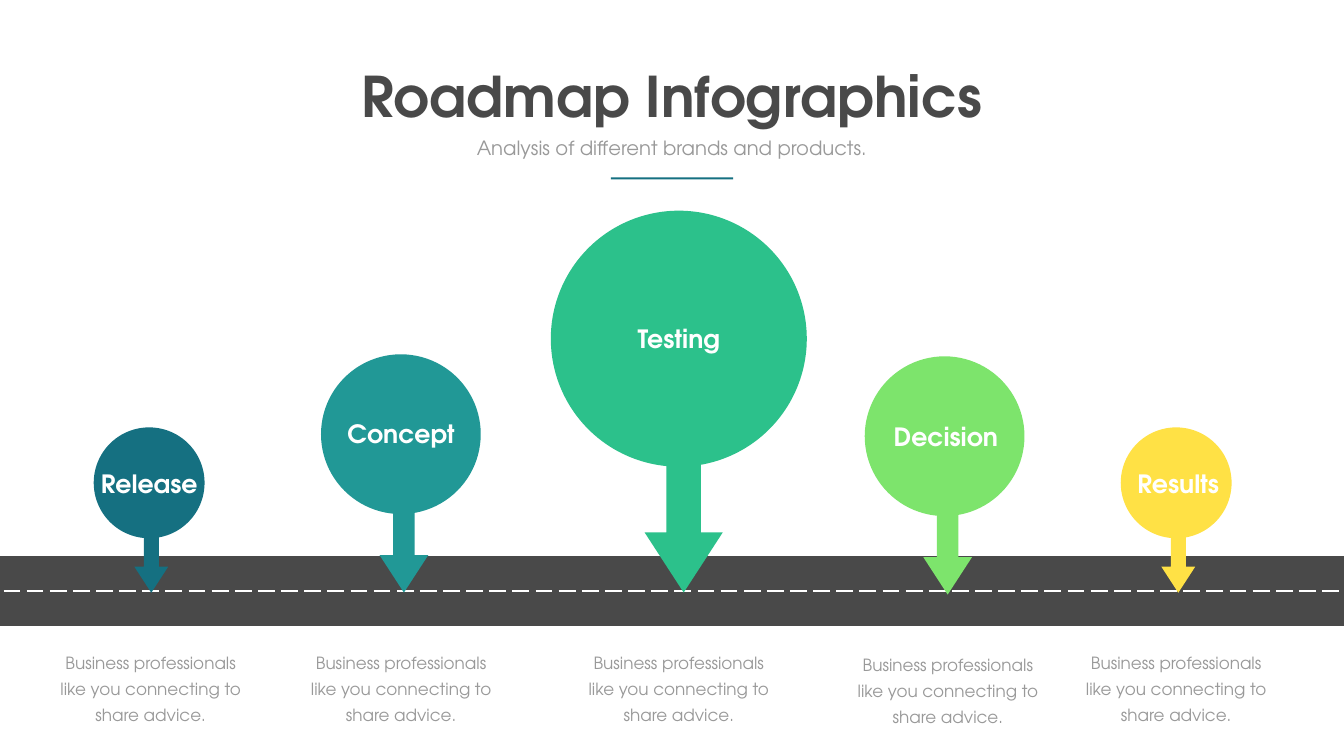
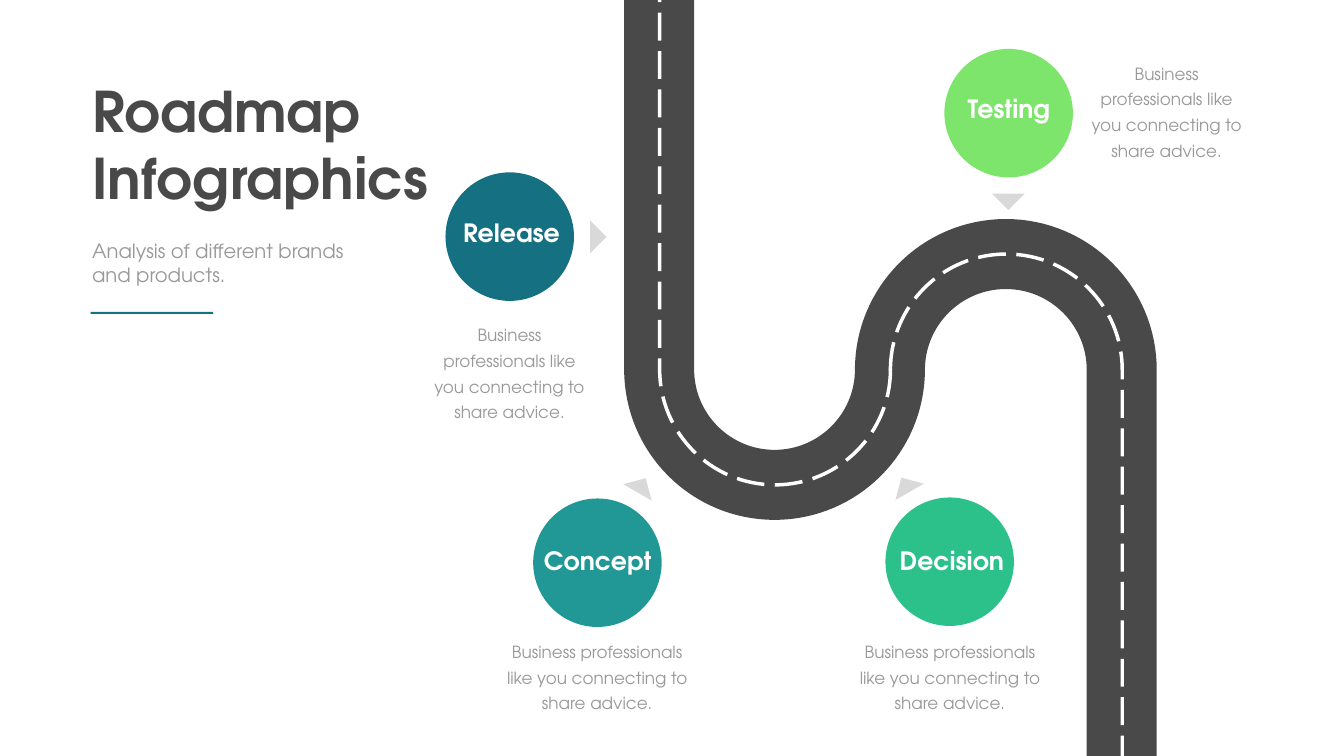
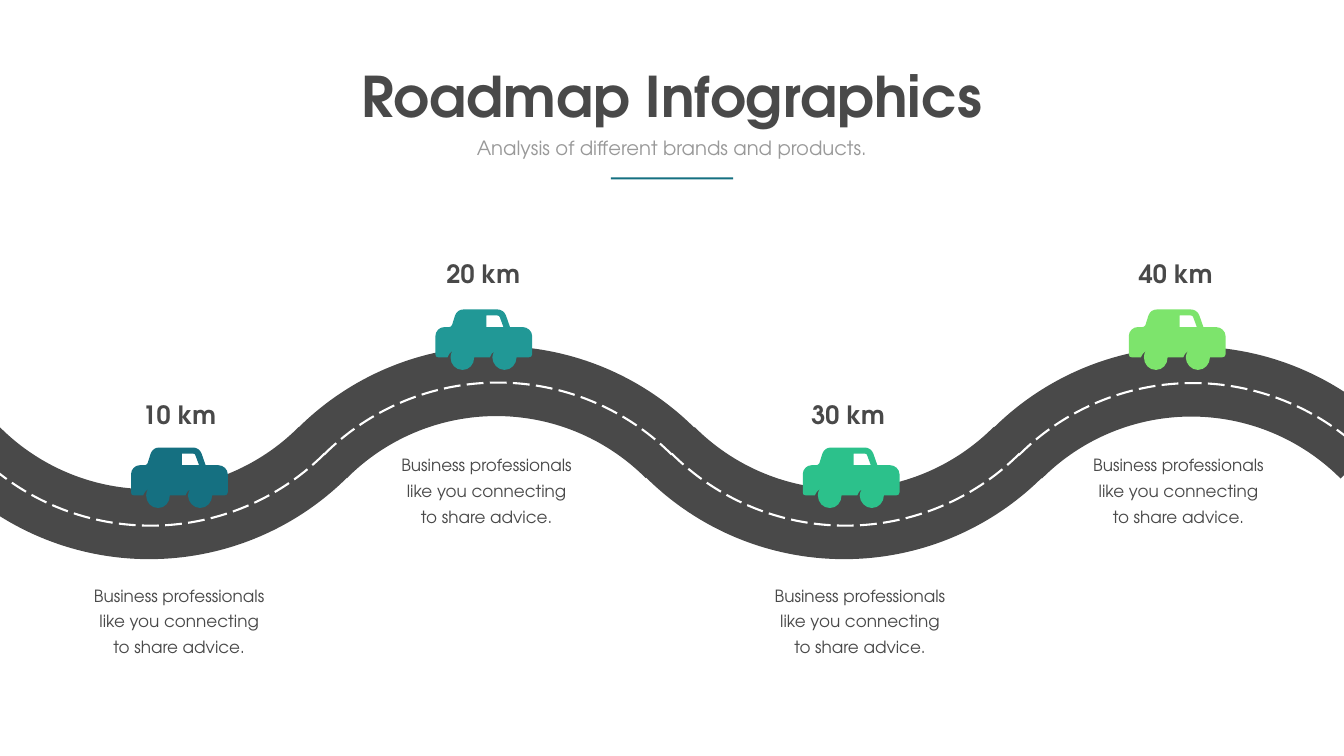
import pptx
import pptx.dml.color
import pptx.enum.dml
import pptx.enum.shapes
import pptx.enum.text
import pptx.oxml.ns
import pptx.util
from lxml import etree
from pptx.oxml.ns import qn
from pptx.util import Inches

SHAPE = pptx.enum.shapes.MSO_SHAPE
ALIGN = pptx.enum.text.PP_ALIGN

# Shared style
FONT = "TeX Gyre Adventor"
DARK, GRAY, PALE, WHITE = "494949", "999999", "D9D9D9", "FFFFFF"
BLUE, TEAL, GREEN, LIME, YELLOW = "157081", "219896", "2CC18B", "7DE46C", "FFE145"
ADVICE = "Business professionals like you connecting to share advice."
SUBTITLE = "Analysis of different brands and products."
ROAD_WIDTH = 100

# Car contours: a pair is a line end, six numbers are a Bezier curve
CAR_BODY = [
    (1.73, .35), (1.48, .35), (1.4, .12), (1.37, .04, 1.3, 0, 1.23, 0),
    (.56, 0), (.48, 0, .42, .04, .39, .12), (.33, .31),
    (.32, .34, .29, .35, .27, .35), (.18, .35), (.08, .35, 0, .43, 0, .53),
    (0, .89), (0, .93, .02, .95, .06, .95), (.24, .95),
    (.26, .9, .29, .85, .34, .82), (.31, .86, .3, .9, .3, .95),
    (.3, 1.09, .4, 1.2, .54, 1.2), (.67, 1.2, .77, 1.09, .77, .95),
    (1.08, .95), (1.1, .9, 1.13, .85, 1.18, .82),
    (1.15, .86, 1.13, .9, 1.13, .95), (1.13, 1.08, 1.24, 1.2, 1.37, 1.2),
    (1.51, 1.2, 1.61, 1.08, 1.61, .95), (1.85, .95),
    (1.89, .95, 1.92, .93, 1.92, .89), (1.92, .53),
    (1.92, .43, 1.83, .35, 1.73, .35),
]
CAR_WINDOW = [(1.01, .35), (1.01, .12), (1.23, .12),
              (1.25, .12, 1.28, .13, 1.28, .16), (1.35, .35), (1.01, .35)]


def color(hex_string):
    return pptx.dml.color.RGBColor.from_string(hex_string)


def set_line(sp, line_color, width, dashed=False):
    sp.line.color.rgb = color(line_color)
    sp.line.width = pptx.util.Pt(width)
    if dashed:
        sp.line.dash_style = pptx.enum.dml.MSO_LINE.LONG_DASH


def set_fill(sp, fill):
    sp.shadow.inherit = False
    sp.fill.solid()
    sp.fill.fore_color.rgb = color(fill)
    sp.line.fill.background()


def add_shape(s, kind, x, y, w, h, fill, rotation=0):
    sp = s.shapes.add_shape(kind, Inches(x), Inches(y), Inches(w), Inches(h))
    set_fill(sp, fill)
    sp.rotation = rotation
    return sp


def add_text(s, lines, x, y, w, h, size, font_color, bold=False,
             align=ALIGN.CENTER, spacing=None, wrap=True):
    tf = s.shapes.add_textbox(Inches(x), Inches(y), Inches(w), Inches(h)).text_frame
    tf.word_wrap = wrap
    tf.auto_size = pptx.enum.text.MSO_AUTO_SIZE.SHAPE_TO_FIT_TEXT
    for i, line in enumerate(lines):
        p = tf.add_paragraph() if i else tf.paragraphs[0]
        p.text = line
        p.alignment = align
        if spacing:
            p.line_spacing = pptx.util.Pt(spacing)
        p.font.name = FONT
        p.font.size = pptx.util.Pt(size)
        p.font.bold = bold
        p.font.color.rgb = color(font_color)


def add_label(s, text, x, y, font_color=WHITE):
    add_text(s, [text], x, y, 2.86, 0.71, 36, font_color, bold=True)


def add_advice(s, x, y, w, h=1.6, font_color=GRAY):
    add_text(s, [ADVICE], x, y, w, h, 24, font_color, spacing=36.6)


def add_centered_title(s):
    add_text(s, ["Roadmap Infographics"], 7, 1.17, 12.66, 1.45, 80, DARK,
             bold=True, wrap=False)
    add_text(s, [SUBTITLE], 8.55, 2.65, 9.56, 0.57, 28, GRAY)
    add_shape(s, SHAPE.RECTANGLE, 12.12, 3.52, 2.43, 0.04, BLUE)


def add_straight_road(s, x, y, length, line_color, width, dashed):
    cn = s.shapes.add_connector(pptx.enum.shapes.MSO_CONNECTOR.STRAIGHT,
                                Inches(x), Inches(y), Inches(x + length), Inches(y))
    etree.SubElement(cn._element.spPr, qn("a:effectLst"))
    set_line(cn, line_color, width, dashed)


def add_pin(s, x, y, d, fill):
    """Circle with an arrow below it, sized and placed from the diameter."""
    w, h = 1.297 * d, 0.305 * d
    center_x, center_y = x + 0.519 * d, y + 0.843 * d
    sp = add_shape(s, SHAPE.RIGHT_ARROW, center_x - w / 2, center_y - h / 2,
                   w, h, fill, 90)
    sp.adjustments[0], sp.adjustments[1] = 0.442, 0.769
    add_shape(s, SHAPE.OVAL, x, y, d, d, fill)


def add_outline(s, contours, closed):
    """Freeform of lines (pairs) and Bezier curves (six numbers), in inches."""
    contours = [[[Inches(v) for v in seg] for seg in c] for c in contours]
    fb = s.shapes.build_freeform(*contours[0][0])
    for i, contour in enumerate(contours):
        if i:
            fb.move_to(*contour[0])
        fb.add_line_segments([seg[-2:] for seg in contour[1:]], close=closed)
    sp = fb.convert_to_shape()
    sp.shadow.inherit = False
    # Turn the sides that have control points into curves
    segments = [seg for contour in contours for seg in contour[1:]]
    sides = list(sp._element.iter(qn("a:lnTo")))
    for side, seg in zip(sides, segments):
        if len(seg) == 6:
            curve = etree.Element(qn("a:cubicBezTo"))
            for x, y in zip(seg[::2], seg[1::2]):
                etree.SubElement(curve, qn("a:pt"), x=str(x - sp.left), y=str(y - sp.top))
            side.getparent().replace(side, curve)
    return sp


def add_bend(s, cx, cy, r, side, end_y, shift, line_color, width, dashed):
    """Half circle of two curves, then a straight run to end_y.

    side 1 starts on the right and dips down, -1 starts on the left and rises.
    """
    cx += shift
    a, k = side * r, side * r * 0.5523
    bend = [(cx + a, cy),
            (cx + a, cy + k, cx + k, cy + a, cx, cy + a),
            (cx - k, cy + a, cx - a, cy + k, cx - a, cy),
            (cx - a, end_y)]
    sp = add_outline(s, [bend], closed=False)
    sp.fill.background()
    set_line(sp, line_color, width, dashed)


def add_arc(s, x, y, rotation, line_color, width, dashed):
    sp = s.shapes.add_shape(SHAPE.ARC, Inches(x), Inches(y), Inches(9.76), Inches(9.76))
    sp.shadow.inherit = False
    sp.fill.background()
    sp.rotation = rotation
    set_line(sp, line_color, width, dashed)


def add_car(s, x, y, fill):
    contours = [[[v + (y if i % 2 else x) for i, v in enumerate(seg)] for seg in c]
                for c in (CAR_BODY, CAR_WINDOW)]
    set_fill(add_outline(s, contours, closed=True), fill)


def build_pins(s):
    add_centered_title(s)
    add_straight_road(s, -0.04, 11.72, 26.71, DARK, ROAD_WIDTH, False)
    add_straight_road(s, 0.07, 11.73, 26.7, WHITE, 3, True)
    # Circle x, y, diameter, colour; label and its x, y; advice x, y
    stages = [
        (1.86, 8.48, 2.2, BLUE, "Release", 1.53, 9.25, 1.01, 12.8),
        (6.37, 7.03, 3.17, TEAL, "Concept", 6.53, 8.26, 5.98, 12.8),
        (10.93, 4.18, 5.08, GREEN, "Testing", 12.04, 6.36, 11.49, 12.8),
        (17.16, 7.07, 3.17, LIME, "Decision", 17.34, 8.3, 16.83, 12.84),
        (22.24, 8.48, 2.2, YELLOW, "Results", 21.95, 9.25, 21.36, 12.8),
    ]
    for x, y, d, fill, name, label_x, label_y, advice_x, advice_y in stages:
        add_pin(s, x, y, d, fill)
        add_label(s, name, label_x, label_y)
        add_advice(s, advice_x, advice_y, 3.96)


def build_winding_road(s):
    for shift, *style in ((0, DARK, ROAD_WIDTH, False), (0.01, WHITE, 5, True)):
        add_bend(s, 19.96, 7.34, 2.3, -1, 15.02, shift, *style)
        add_bend(s, 15.37, 7.33, 2.29, 1, 0, shift, *style)
    # Title block
    add_text(s, ["Roadmap", "Infographics"], 1.73, 1.47, 7.1, 2.79, 80, DARK,
             bold=True, align=ALIGN.LEFT)
    add_text(s, [SUBTITLE], 1.73, 4.7, 5.34, 1.04, 28, GRAY, align=ALIGN.LEFT)
    add_shape(s, SHAPE.RECTANGLE, 1.8, 6.19, 2.43, 0.04, BLUE)
    # Circle x, y, colour; pointer x, y, rotation; label x, y; advice box
    stops = [
        ("Release", 8.84, 3.42, BLUE, 11.48, 4.47, 225, 8.72, 4.27, (8.47, 6.29, 3.28, 2.12)),
        ("Concept", 10.58, 9.89, TEAL, 12.42, 9.54, 165, 10.43, 10.77, (9.94, 12.58, 3.82)),
        ("Decision", 17.57, 9.87, GREEN, 17.82, 9.53, 105, 17.46, 10.77, (16.94, 12.58, 3.82)),
        ("Testing", 18.74, 0.97, LIME, 19.78, 3.61, 315, 18.59, 1.8, (21.51, 1.1, 3.28, 2.12)),
    ]
    for name, x, y, fill, tip_x, tip_y, turn, label_x, label_y, advice_box in stops:
        add_shape(s, SHAPE.OVAL, x, y, 2.55, 2.55, fill)
        add_shape(s, SHAPE.RIGHT_TRIANGLE, tip_x, tip_y, 0.46, 0.46, PALE, turn)
        add_advice(s, *advice_box)
        add_label(s, name, label_x, label_y)


def build_wavy_road(s):
    add_centered_title(s)
    arcs = [(-1.92, 0.64, 135), (11.87, 0.64, 135), (4.97, 7.56, 315), (18.76, 7.57, 315)]
    for shift, *style in ((0, DARK, ROAD_WIDTH, False), (0.03, WHITE, 3, True)):
        for x, y, rotation in arcs:
            add_arc(s, x + shift, y + shift, rotation, *style)
    # Car x, y, colour; label x, y; advice x, y
    milestones = [
        ("10 km", 2.6, 8.88, BLUE, 2.13, 7.87, 1.7, 11.46),
        ("20 km", 8.64, 6.14, TEAL, 8.16, 5.07, 7.8, 8.87),
        ("30 km", 15.93, 8.88, GREEN, 15.4, 7.87, 15.21, 11.46),
        ("40 km", 22.4, 6.14, LIME, 21.9, 5.07, 21.53, 8.87),
    ]
    for distance, x, y, fill, label_x, label_y, advice_x, advice_y in milestones:
        add_car(s, x, y, fill)
        add_label(s, distance, label_x, label_y, DARK)
        add_advice(s, advice_x, advice_y, 3.71, font_color=DARK)


def main():
    prs = pptx.Presentation()
    prs.slide_width, prs.slide_height = Inches(26.67), Inches(15)
    for build in (build_pins, build_winding_road, build_wavy_road):
        build(prs.slides.add_slide(prs.slide_layouts[6]))
    prs.save("out.pptx")


if __name__ == "__main__":
    main()
